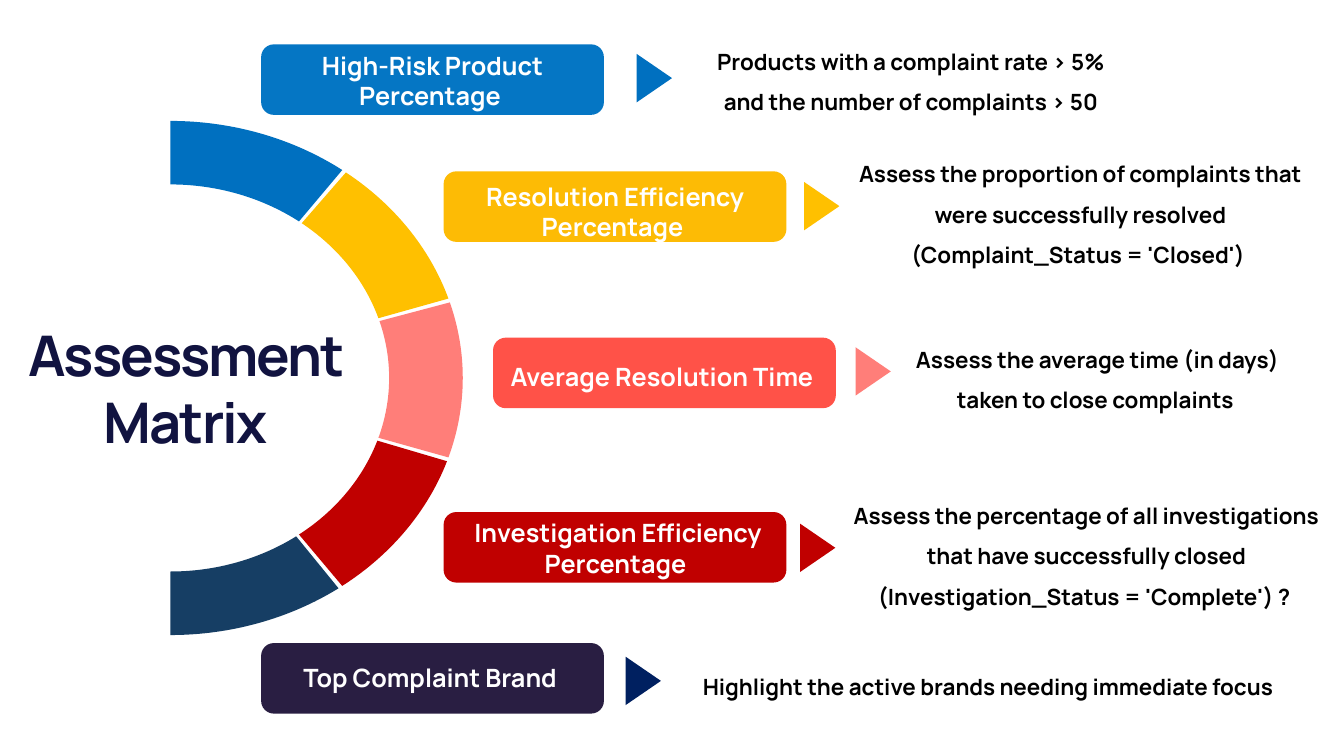
"""Build the assessment matrix slide: a half ring, five labels and their notes."""
from dataclasses import dataclass
from math import cos, radians, sin, tan

from pptx import Presentation
from pptx.dml.color import RGBColor
from pptx.enum.shapes import MSO_SHAPE as Kind
from pptx.enum.text import MSO_ANCHOR as Anchor, MSO_AUTO_SIZE as Fit, PP_ALIGN as Align
from pptx.oxml.ns import qn
from pptx.oxml.xmlchemy import OxmlElement as Node
from pptx.util import Pt

PX = 9144
FONT = "Manrope"
MID_X, MID_Y = 169, 375
OUTER, INNER = (290, 255), (217, 192)
SWEEP, GAP = 36, 0.9
BAR_W, BAR_H = 340, 70
TIP_W, TIP_H = 48, 35

Box = tuple[int, int, int, int]
Spot = tuple[int, int]


@dataclass(frozen=True)
class Metric:
    label: str
    note: str
    arc: str
    bar: str
    tip: str
    bar_at: Spot
    label_at: Box
    tip_at: Spot
    note_at: Box
    indent: int = 0
    after: int = 0


METRICS = [
    Metric("High-Risk Product Percentage ",
           "Products with a complaint rate > 5% and the number of complaints > 50",
           "0070C0", "0576C4", "0070C0", (259, 44), (259, 44, 340, 71),
           (625, 60), (638, 29, 481, 88), indent=50, after=8),
    Metric("Resolution Efficiency Percentage ",
           "Assess the proportion of complaints that were successfully resolved "
           "(Complaint_Status = 'Closed') ",
           "FFC000", "FDBB05", "FFC000", (440, 170), (439, 174, 342, 71),
           (791, 187), (822, 141, 499, 128)),
    Metric("Average Resolution Time ",
           "Assess the average time (in days) taken to close complaints ",
           "FF7E79", "FF5248", "FF7E79", (489, 335), (489, 338, 340, 71),
           (842, 351), (874, 325, 429, 88)),
    Metric("Investigation Efficiency Percentage ",
           "Assess the percentage of all investigations that have successfully closed "
           "(Investigation_Status = 'Complete') ? ",
           "C00000", "C00000", "C00000", (440, 508), (443, 508, 340, 71),
           (787, 526), (822, 480, 511, 128)),
    Metric("Top Complaint Brand ",
           "Highlight the active brands needing immediate focus",
           "163E64", "291E42", "002060", (259, 638), (259, 652, 340, 40),
           (614, 658), (638, 650, 684, 47)),
]


def color(code: str) -> RGBColor:
    """Turn a hex string into a colour."""
    return RGBColor.from_string(code)


def emu(box: Box) -> list[int]:
    """Turn px lengths into EMU."""
    return [v * PX for v in box]


def paint(shape, code: str) -> None:
    """Give a shape a flat fill with no line or shadow."""
    shape.fill.solid()
    shape.fill.fore_color.rgb = color(code)
    shape.line.fill.background()
    shape.shadow.inherit = False


def write(shape, text: str, size: int, code: str, anchor: Anchor):
    """Put one bold centred run in a shape and return the run."""
    frame = shape.text_frame
    frame.word_wrap = True
    frame.auto_size = Fit.SHAPE_TO_FIT_TEXT
    frame.vertical_anchor = anchor
    para = frame.paragraphs[0]
    para.alignment = Align.CENTER
    run = para.add_run()
    run.text = text
    font = run.font
    font.name, font.size, font.bold = FONT, Pt(size), True
    font.color.rgb = color(code)
    return run


def point(radii: Spot, angle: float, pull: float = 0) -> Spot:
    """Find the EMU point on an ellipse, angle from the top, pulled along the tangent."""
    turn = radians(angle)
    return (round((MID_X + radii[0] * (sin(turn) + pull * cos(turn))) * PX),
            round((MID_Y - radii[1] * (cos(turn) - pull * sin(turn))) * PX))


def curve(radii: Spot, turns: list[float]) -> list[Spot]:
    """List the start, then two controls and an end for each curve between turns."""
    spots = [point(radii, turns[0])]
    for a, b in zip(turns, turns[1:]):
        pull = 4 / 3 * tan(radians(b - a) / 4)
        spots += [point(radii, a, pull), point(radii, b, -pull), point(radii, b)]
    return spots


def bend(shape, count: int) -> None:
    """Turn each three lines of both edges into one cubic curve."""
    lines = list(shape._element.iter(qn("a:lnTo")))
    edges = lines[:3 * count] + lines[3 * count + 1:]
    for i in range(0, len(edges), 3):
        cubic = Node("a:cubicBezTo")
        edges[i].addprevious(cubic)
        for line in edges[i:i + 3]:
            cubic.append(line[0])
            line.getparent().remove(line)


def draw_arc(group, index: int, code: str) -> None:
    """Draw one segment of the half ring, split where it passes its widest point."""
    start, end = index * SWEEP + (GAP if index else 0), (index + 1) * SWEEP
    turns = [start, 90, end] if start < 90 < end else [start, end]
    edge = curve(OUTER, turns) + curve(INNER, turns[::-1])
    pen = group.shapes.build_freeform(*edge[0], scale=1.0)
    pen.add_line_segments(edge[1:], close=True)
    shape = pen.convert_to_shape()
    bend(shape, len(turns) - 1)
    paint(shape, code)


def draw_row(shapes, row: Metric) -> None:
    """Draw the bar, label, arrow tip and note of a metric."""
    bar = shapes.add_shape(Kind.ROUNDED_RECTANGLE, *emu((*row.bar_at, BAR_W, BAR_H)))
    bar.adjustments[0] = 0.18
    paint(bar, row.bar)
    label = shapes.add_textbox(*emu(row.label_at))
    write(label, row.label, 18, "FFFFFF", Anchor.MIDDLE)
    tip = shapes.add_shape(Kind.ISOSCELES_TRIANGLE, *emu((*row.tip_at, TIP_W, TIP_H)))
    tip.rotation = 90
    paint(tip, row.tip)
    note = shapes.add_textbox(*emu(row.note_at))
    write(note, row.note, 16, "000000", Anchor.TOP)
    para = note.text_frame.paragraphs[0]
    para.line_spacing = 1.5
    para.space_after = Pt(row.after)
    para._p.get_or_add_pPr().set("marL", str(row.indent * PX))


def main() -> None:
    """Build and save the slide."""
    deck = Presentation()
    deck.slide_width, deck.slide_height = 1333 * PX, 750 * PX
    slide = deck.slides.add_slide(deck.slide_layouts[5])
    title = slide.shapes.title
    title.left, title.top, title.width, title.height = emu((-11, 311, 390, 145))
    run = write(title, "Assessment Matrix", 40, "111340", Anchor.BOTTOM)
    run._r.get_or_add_rPr().set("spc", "-140")
    ring = slide.shapes.add_group_shape()
    for index, row in enumerate(METRICS):
        draw_arc(ring, index, row.arc)
        draw_row(slide.shapes, row)
    deck.save("out.pptx")


if __name__ == "__main__":
    main()
